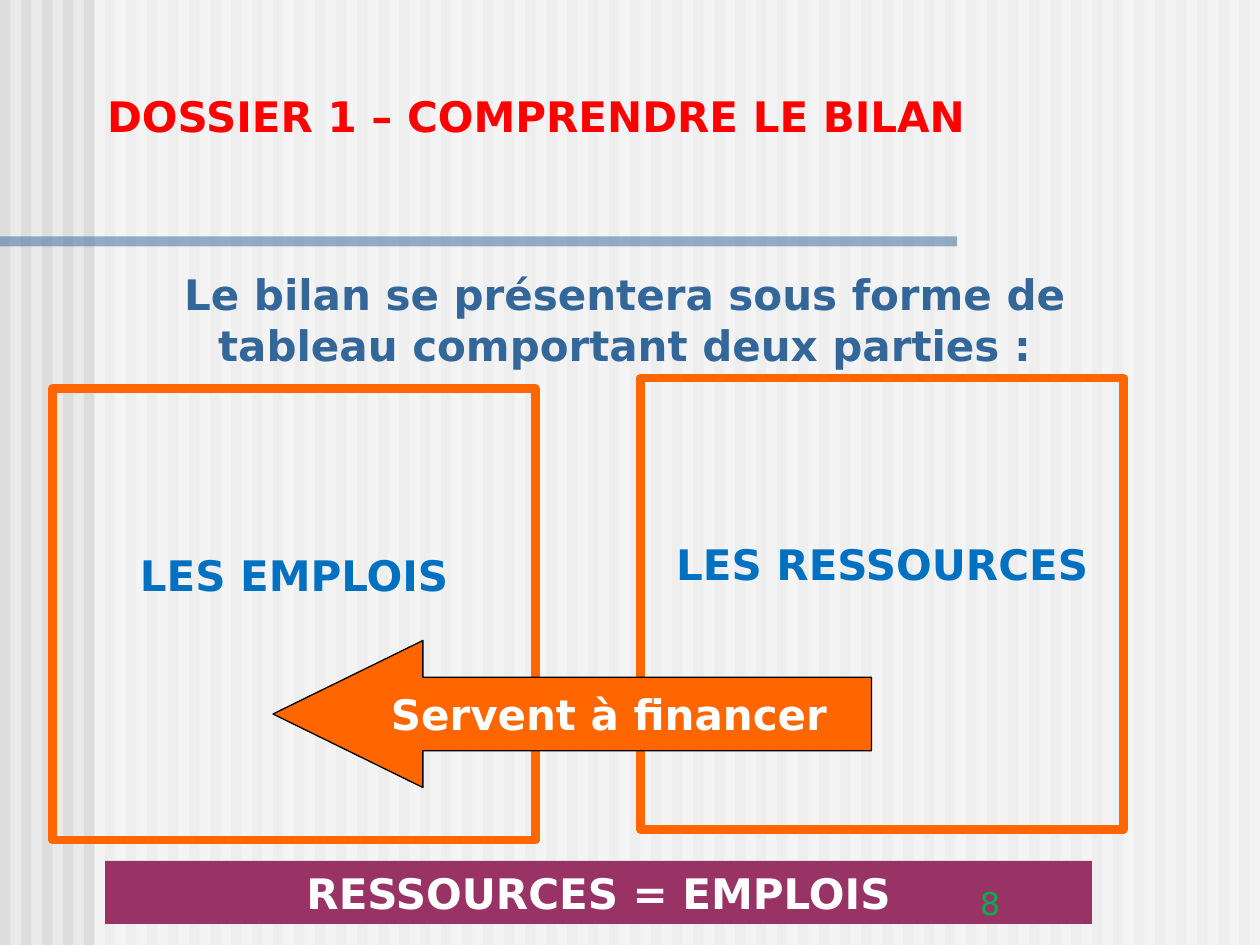
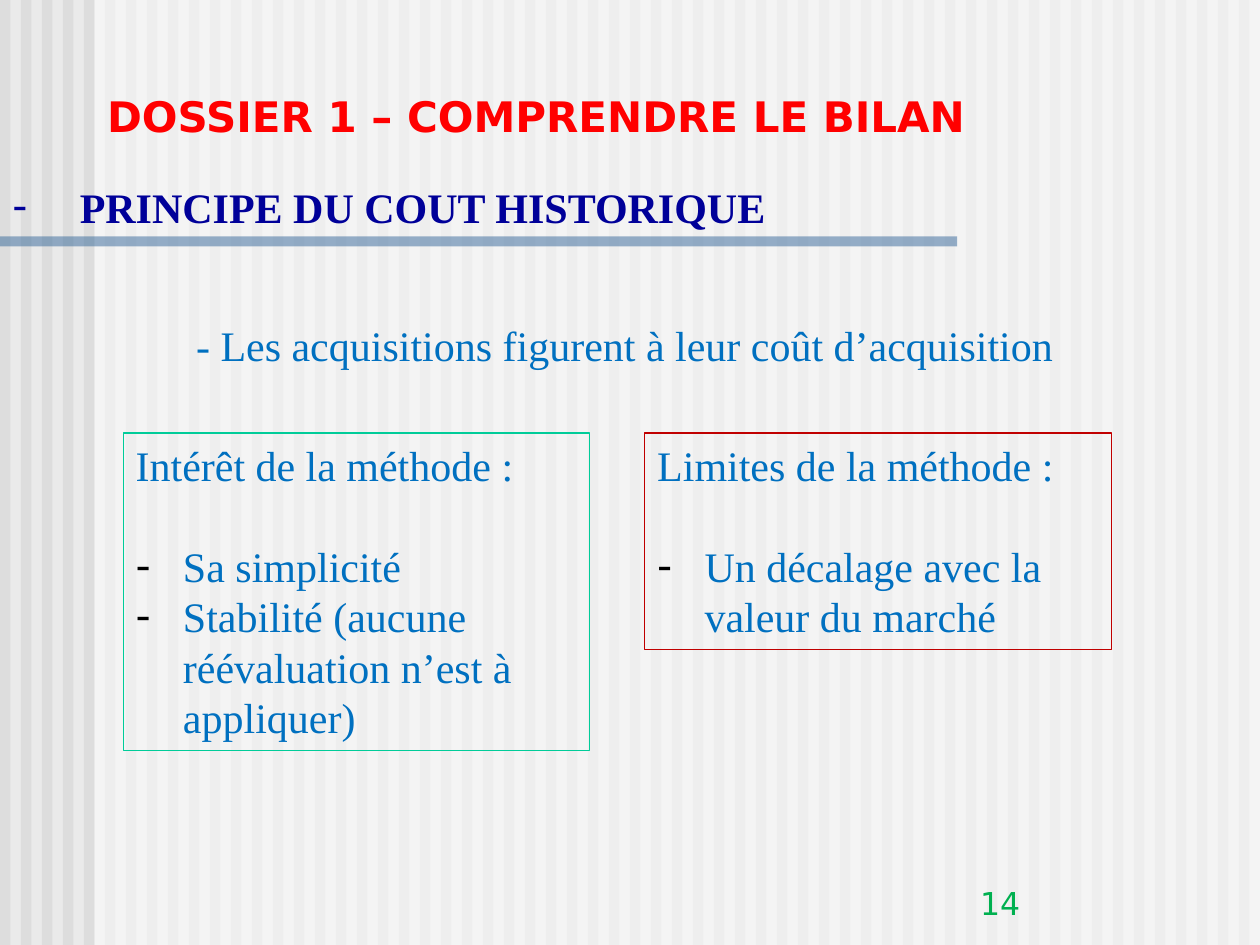
from lxml.etree import SubElement
from pptx import Presentation
from pptx.dml.color import RGBColor
from pptx.enum.shapes import MSO_SHAPE
from pptx.enum.text import MSO_ANCHOR, MSO_AUTO_SIZE, PP_ALIGN
from pptx.oxml.ns import qn
from pptx.util import Pt

WIDTH, HEIGHT = 720, 540
STRIPE_PITCH, STRIPE_WIDTH = 12, 6
SANS, SERIF = "DejaVu Sans", "Times New Roman"
TITLE = "DOSSIER 1 – COMPRENDRE LE BILAN"
COLORS = {
    "background": "EAEAEA", "stripe": "DDDDDD", "white": "FFFFFF", "black": "000000",
    "steel": "336699", "red": "FF0000", "orange": "FF6600", "blue": "0070C0",
    "navy": "000099", "plum": "993366", "mint": "00CC99", "crimson": "C00000",
    "green": "00B050",
}
BOLD_SANS = {"name": SANS, "size": Pt(24), "bold": True}
PLAIN_SERIF = {"name": SERIF, "size": Pt(24), "bold": False}
NUMBER_SANS = {"name": SANS, "size": Pt(18), "bold": False}


def rgb(color):
    return RGBColor.from_string(COLORS[color])


class Deck:
    """Holds the shared style and the slide being filled."""

    def __init__(self):
        self.presentation = Presentation()
        self.presentation.slide_width = Pt(WIDTH)
        self.presentation.slide_height = Pt(HEIGHT)
        self.slide = None

    def new_slide(self):
        self.slide = self.presentation.slides.add_slide(self.presentation.slide_layouts[5])
        fill = self.slide.background.fill
        fill.solid()
        fill.fore_color.rgb = rgb("background")
        self.backdrop()
        self.title()

    def backdrop(self):
        """Draw the stripes, the pale veil and the rule under the title."""
        group = self.slide.shapes.add_group_shape()
        for left in range(0, WIDTH, STRIPE_PITCH):
            self.shape((left, 0, STRIPE_WIDTH, HEIGHT), fill="stripe", parent=group)
        self.shape((54, 0, WIDTH - 54, HEIGHT), fill="white", opacity=50, parent=group)
        self.shape((0, 135, 547, 5.8), fill="steel", opacity=50, parent=group)

    def title(self):
        """Format the title placeholder and bring it in front of the backdrop."""
        title = self.slide.shapes.title
        title.left, title.top, title.width, title.height = map(Pt, (54, 48, 630, 36))
        title.element.getparent().append(title.element)
        self.set_text(title, TITLE, BOLD_SANS, "red")

    def page_number(self, number):
        self.text(number, (553, 494.6, 150, 36), NUMBER_SANS, "green",
                  anchor=MSO_ANCHOR.BOTTOM)

    def shape(self, box, kind=MSO_SHAPE.RECTANGLE, fill=None, line=None, line_width=0.75,
              opacity=100, parent=None):
        shape = (parent or self.slide).shapes.add_shape(kind, *map(Pt, box))
        shape.shadow.inherit = False
        if fill:
            shape.fill.solid()
            shape.fill.fore_color.rgb = rgb(fill)
            if opacity < 100:
                color = next(shape.element.iter(qn("a:srgbClr")))
                SubElement(color, qn("a:alpha"), val=str(opacity * 1000))
        else:
            shape.fill.background()
        if line:
            shape.line.color.rgb = rgb(line)
            shape.line.width = Pt(line_width)
        else:
            shape.line.fill.background()
        return shape

    def text(self, text, box, font, color, **layout):
        text_box = self.slide.shapes.add_textbox(*map(Pt, box))
        self.set_text(text_box, text, font, color, **layout)
        return text_box

    def set_text(self, shape, text, font, color, align=PP_ALIGN.LEFT, anchor=MSO_ANCHOR.TOP,
                 top_inset=3.6):
        frame = shape.text_frame
        settings = {
            "word_wrap": True, "auto_size": MSO_AUTO_SIZE.NONE, "vertical_anchor": anchor,
            "margin_left": Pt(7.2), "margin_right": Pt(7.2),
            "margin_top": Pt(top_inset), "margin_bottom": Pt(3.6),
        }
        for name, value in settings.items():
            setattr(frame, name, value)
        self.fill_paragraph(frame.paragraphs[0], text, font, color, align)

    def fill_paragraph(self, paragraph, text, font, color, align=PP_ALIGN.LEFT):
        paragraph.alignment = align
        run = paragraph.add_run()
        run.text = text
        for name, value in font.items():
            setattr(run.font, name, value)
        run.font.color.rgb = rgb(color)

    def dash(self, paragraph, indent, color):
        """Give the paragraph a hanging dash."""
        properties = paragraph._p.get_or_add_pPr()
        properties.set("marL", str(Pt(indent)))
        properties.set("indent", str(-Pt(indent)))
        bullet_color = SubElement(properties, qn("a:buClr"))
        SubElement(bullet_color, qn("a:srgbClr"), val=COLORS[color])
        SubElement(properties, qn("a:buFont"), typeface=SANS)
        SubElement(properties, qn("a:buChar"), char="-")

    def framed_label(self, text, box):
        frame = self.shape(box, line="orange", line_width=5)
        self.set_text(frame, text, BOLD_SANS, "blue", PP_ALIGN.CENTER, top_inset=92)

    def framed_list(self, heading, items, box, line):
        frame = self.shape(box, line=line)
        self.set_text(frame, heading, PLAIN_SERIF, "blue")
        for index, item in enumerate(items):
            paragraph = frame.text_frame.add_paragraph()
            paragraph.space_before = Pt(0 if index else 29)
            self.fill_paragraph(paragraph, item, PLAIN_SERIF, "blue")
            self.dash(paragraph, 27, "black")


def balance_sheet_slide(deck):
    deck.new_slide()
    deck.text("Le bilan se présentera sous forme de tableau comportant deux parties :",
              (48, 150, 618, 64.8), BOLD_SANS, "steel", align=PP_ALIGN.CENTER)
    deck.framed_label("LES RESSOURCES", (366, 216, 276, 258))
    deck.framed_label("LES EMPLOIS", (30, 222, 276, 258))
    arrow = deck.shape((156, 366, 342, 84), MSO_SHAPE.LEFT_ARROW, "orange", "black")
    arrow.adjustments[0], arrow.adjustments[1] = 0.5, 1.02
    deck.text("Servent à financer", (204, 390, 288, 36), BOLD_SANS, "white",
              align=PP_ALIGN.CENTER)
    equation = deck.shape((60, 492, 564, 36), fill="plum")
    deck.set_text(equation, "RESSOURCES = EMPLOIS", BOLD_SANS, "white", PP_ALIGN.CENTER)
    deck.page_number("8")


def historical_cost_slide(deck):
    deck.new_slide()
    principle = deck.text("PRINCIPE DU COUT HISTORIQUE", (0, 100, 666, 36),
                          {**PLAIN_SERIF, "bold": True}, "navy")
    deck.dash(principle.text_frame.paragraphs[0], 38.5, "navy")
    deck.text("- Les acquisitions figurent à leur coût d’acquisition",
              (105, 179.3, 601, 36.6), PLAIN_SERIF, "blue")
    deck.framed_list("Intérêt de la méthode :",
                     ["Sa simplicité", "Stabilité (aucune réévaluation n’est à appliquer)"],
                     (70.5, 247.5, 266.5, 181.5), "mint")
    deck.framed_list("Limites de la méthode :", ["Un décalage avec la valeur du marché"],
                     (368.5, 247.5, 266.5, 123.5), "crimson")
    deck.page_number("14")


def main():
    deck = Deck()
    balance_sheet_slide(deck)
    historical_cost_slide(deck)
    deck.presentation.save("out.pptx")


if __name__ == "__main__":
    main()
